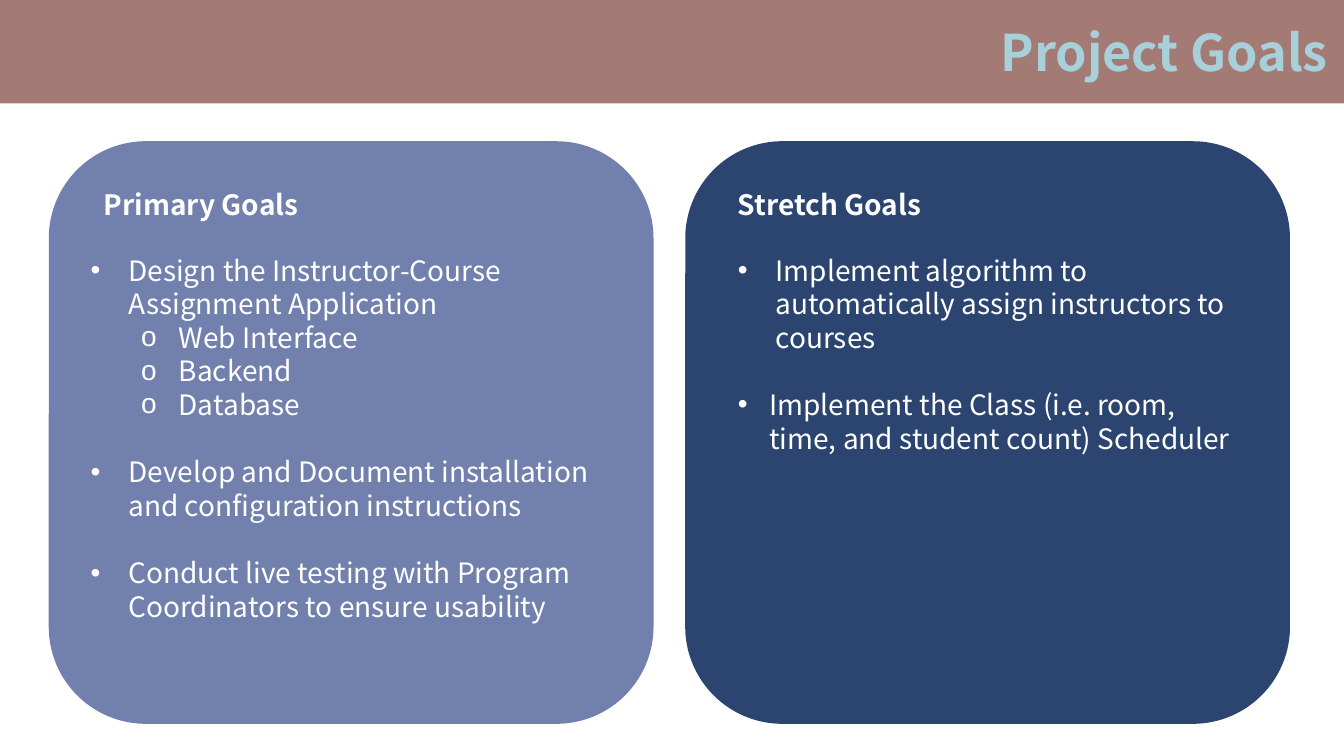
from dataclasses import dataclass

from lxml.etree import SubElement
from pptx import Presentation
from pptx.dml.color import RGBColor
from pptx.enum.shapes import MSO_SHAPE
from pptx.enum.text import MSO_ANCHOR, MSO_AUTO_SIZE, PP_ALIGN
from pptx.oxml.ns import qn
from pptx.slide import Slide
from pptx.text.text import TextFrame
from pptx.util import Cm, Pt

FONT = "Noto Sans CJK JP"
WHITE = RGBColor(0xFF, 0xFF, 0xFF)
ROSE = RGBColor(0xA3, 0x7A, 0x74)
AQUA = RGBColor(0xA8, 0xD0, 0xDB)
BLUE = RGBColor(0x71, 0x80, 0xAC)
NAVY = RGBColor(0x2B, 0x45, 0x70)


@dataclass
class Box:
    left: float
    top: float
    width: float
    height: float

    def span(self) -> tuple[Cm, Cm, Cm, Cm]:
        return Cm(self.left), Cm(self.top), Cm(self.width), Cm(self.height)


@dataclass
class Item:
    text: str
    level: int = 0
    gap: int = 0
    hang: float = 0.95


@dataclass
class Panel:
    color: RGBColor
    left: float
    title: str
    head: Box
    body: Box
    items: list[Item]


PANELS = [
    Panel(BLUE, 1.23, "Primary Goals",
          Box(2.36, 4.6, 13.69, 1.12), Box(2.03, 6.25, 13.69, 9.65), [
              Item("Design the Instructor-Course Assignment Application"),
              Item("Web Interface", level=1),
              Item("Backend", level=1),
              Item("Database", level=1),
              Item("Develop and Document installation and configuration "
                   "instructions", gap=24),
              Item("Conduct live testing with Program Coordinators to ensure "
                   "usability", gap=24),
          ]),
    Panel(NAVY, 17.27, "Stretch Goals",
          Box(18.34, 4.6, 13.69, 1.12), Box(18.34, 6.25, 13.21, 5.38), [
              Item("Implement algorithm to automatically assign instructors "
                   "to courses"),
              Item("Implement the Class (i.e. room, time, and student count) "
                   "Scheduler", gap=24, hang=0.79),
          ]),
]


def add_back(slide: Slide, kind: MSO_SHAPE, box: Box, color: RGBColor) -> None:
    """Add a filled shape behind the placeholders."""
    shape = slide.shapes.add_shape(kind, *box.span())
    shape.shadow.inherit = False
    shape.fill.solid()
    shape.fill.fore_color.rgb = color
    shape.line.fill.background()
    slide.shapes.element.insert(2, shape.element)


def set_text(slide: Slide, index: int, box: Box, items: list[Item], size: int,
             color: RGBColor = WHITE, bold: bool = False,
             align: PP_ALIGN = PP_ALIGN.LEFT) -> TextFrame:
    """Place a placeholder and fill it with one paragraph per item."""
    holder = slide.placeholders[index]
    holder.left, holder.top, holder.width, holder.height = box.span()
    frame = holder.text_frame
    frame.word_wrap = True
    frame.auto_size = MSO_AUTO_SIZE.NONE
    frame.vertical_anchor = MSO_ANCHOR.TOP
    frame.text = "\n".join(item.text for item in items)
    for para, item in zip(frame.paragraphs, items):
        para.level = item.level
        para.alignment = align
        para.line_spacing = 1.0
        para.space_before = Pt(item.gap)
        para.space_after = Pt(0)
        para.font.name = FONT
        para.font.size = Pt(size)
        para.font.bold = bold
        para.font.color.rgb = color
    return frame


def add_list(slide: Slide, index: int, panel: Panel) -> None:
    """Fill a bulleted list with hanging indents."""
    frame = slide.placeholders[index].text_frame
    frame.text = "\n".join(item.text for item in panel.items)
    set_text(slide, index, panel.body, panel.items, 20)
    for para, item in zip(frame.paragraphs, panel.items):
        props = para._p.get_or_add_pPr()
        props.set("marL", str(Cm(item.hang + 1.27 * item.level)))
        props.set("indent", str(-Cm(item.hang)))
        mark = SubElement(props, qn("a:buChar"))
        mark.set("char", "o" if item.level else "•")
        # Bullets come before the default run format
        props.insert(list(props).index(props.find(qn("a:defRPr"))), mark)


def main() -> None:
    deck = Presentation()
    deck.slide_width, deck.slide_height = Cm(33.87), Cm(19.05)
    slide = deck.slides.add_slide(deck.slide_layouts.get_by_name("Comparison"))

    # Title band
    add_back(slide, MSO_SHAPE.RECTANGLE, Box(0, -0.03, 33.87, 2.64), ROSE)
    set_text(slide, 0, Box(24.82, 0.41, 9.04, 1.8), [Item("Project Goals")],
             36, AQUA, True, PP_ALIGN.CENTER)

    # Goal panels: heading and list placeholders come in pairs
    for index, panel in zip((1, 3), PANELS):
        add_back(slide, MSO_SHAPE.ROUNDED_RECTANGLE,
                 Box(panel.left, 3.56, 15.24, 14.68), panel.color)
        set_text(slide, index, panel.head, [Item(panel.title)], 20, bold=True)
        add_list(slide, index + 1, panel)

    deck.save("out.pptx")


if __name__ == "__main__":
    main()
